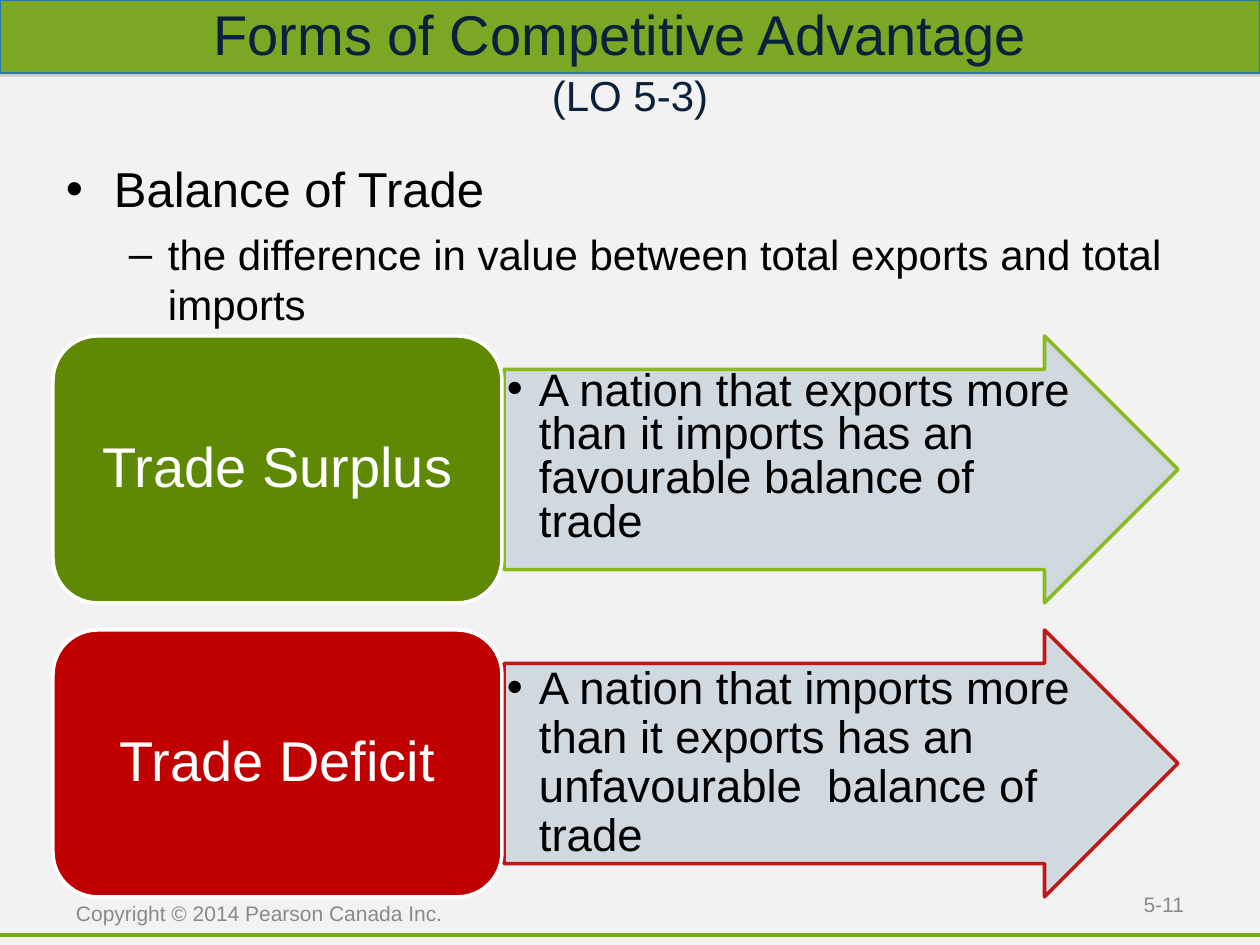
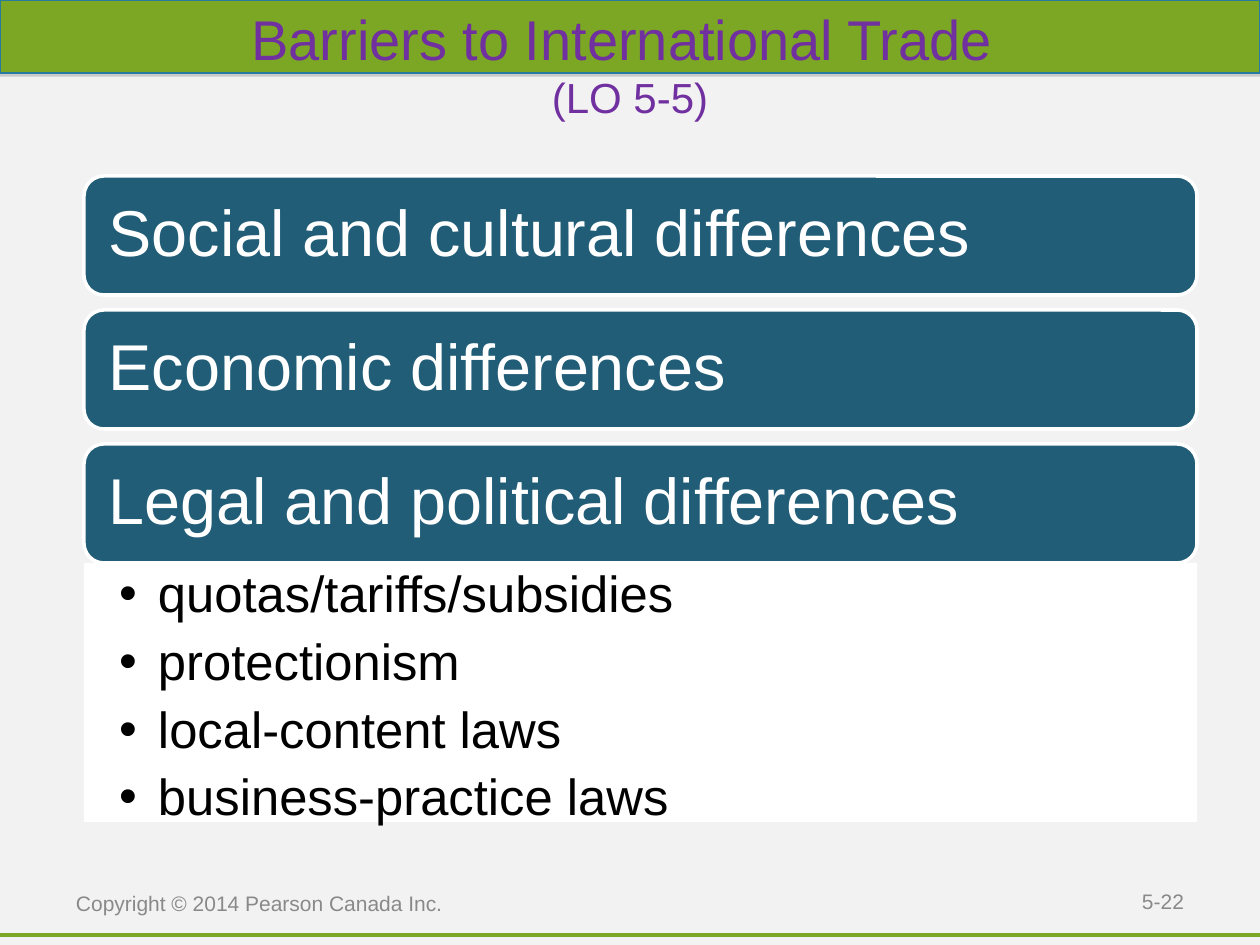
from copy import deepcopy
from dataclasses import dataclass

from lxml import etree
from pptx import Presentation
from pptx import util as u
from pptx.dml.color import RGBColor
from pptx.enum import shapes, text
from pptx.oxml import parse_xml
from pptx.oxml.ns import nsdecls, qn


@dataclass(frozen=True)
class Theme:
    font: str = "Arial"
    paper: str = "F2F2F2"
    white: str = "FFFFFF"
    black: str = "000000"
    band: str = "7CA724"
    band_edge: str = "287A9E"
    navy: str = "09213B"
    purple: str = "7030A0"
    grey: str = "898989"
    arrow: str = "CDD7DF"
    surplus: str = "5F8804"
    surplus_edge: str = "7EB606"
    deficit: str = "C00000"
    bar: str = "215D77"
    title_pt: int = 32
    title_gap_pt: int = 40
    objective_pt: int = 24
    topic_pt: int = 28
    detail_pt: int = 24
    box_pt: int = 32
    arrow_pt: int = 26
    bar_pt: int = 37
    list_pt: int = 29
    footer_pt: int = 12


T = Theme()
LEFT, CENTER, RIGHT = (text.PP_ALIGN.LEFT, text.PP_ALIGN.CENTER, text.PP_ALIGN.RIGHT)
TOP, MIDDLE = text.MSO_ANCHOR.TOP, text.MSO_ANCHOR.MIDDLE
rgb = RGBColor.from_string


def px(*lengths):
    """Turn lengths at 126 px to the inch into EMU."""
    return [u.Emu(round(n * 914400 / 126)) for n in lengths]


def write(sp, paragraphs, color, margins=(13, 6, 13, 6), anchor=MIDDLE, bullet=None, **shared):
    """Fill a shape with paragraphs, each (runs, formats); a run is (text, points)."""
    tf = sp.text_frame
    frame = dict(zip(("margin_left", "margin_top", "margin_right", "margin_bottom"), px(*margins)))
    frame |= {"word_wrap": True, "auto_size": text.MSO_AUTO_SIZE.NONE, "vertical_anchor": anchor}
    for name, value in frame.items():
        setattr(tf, name, value)
    for i, (runs, own) in enumerate(paragraphs):
        p = tf.add_paragraph() if i else tf.paragraphs[0]
        formats = {"alignment": LEFT, "space_before": u.Pt(0), "bullet": bullet} | shared | own
        mark, indent = formats.pop("bullet"), formats.pop("indent", None)
        for name, value in formats.items():
            setattr(p, name, value)
        if mark:
            pPr = p._p.get_or_add_pPr()
            pPr.set("marL", str(px(indent[0])[0]))
            pPr.set("indent", str(px(-indent[1])[0]))
            clr = etree.SubElement(pPr, qn("a:buClr"))
            etree.SubElement(clr, qn("a:srgbClr"), val=T.black)
            etree.SubElement(pPr, qn("a:buFont"), typeface=T.font)
            etree.SubElement(pPr, qn("a:buChar"), char=mark)
        for words, points in runs:
            if words == "\n":
                p._p.add_br().append(deepcopy(r._r.rPr))
                continue
            r = p.add_run()
            r.text = words
            for name, value in {"name": T.font, "size": u.Pt(points)}.items():
                setattr(r.font, name, value)
            r.font.color.rgb = rgb(color)


prs = Presentation()
prs.slide_width, prs.slide_height = px(1260, 945)
layout = prs.slide_layouts[1]
trade, barriers = (prs.slides.add_slide(layout) for _ in range(2))

# Master: background, bottom rule and title band
master = prs.slide_master
master.background.fill.solid()
master.background.fill.fore_color.rgb = rgb(T.paper)
rule = trade.shapes.add_connector(shapes.MSO_CONNECTOR.STRAIGHT, *px(0, 935, 1260, 935))
rule.line.color.rgb = rgb(T.band)
rule.line.width = u.Pt(2)
etree.SubElement(rule._element.spPr, qn("a:effectLst"))
band = trade.shapes.add_shape(shapes.MSO_SHAPE.RECTANGLE, *px(0, 0, 1260, 73))
band.fill.solid()
band.fill.fore_color.rgb = rgb(T.band)
band.line.color.rgb = rgb(T.band_edge)
band.line.width = u.Pt(0.75)
band._element.spPr.append(parse_xml(
    f'<a:effectLst {nsdecls("a")}><a:outerShdw blurRad="0" dist="{u.Pt(1.8)}" dir="5400000">'
    '<a:srgbClr val="808080"><a:alpha val="35000"/></a:srgbClr></a:outerShdw></a:effectLst>'))
for i, sp in enumerate((rule, band)):
    master.shapes.element.insert(2 + i, sp.element)

# Titles and footers
gap = [(" ", T.title_gap_pt)]
pages = [
    (trade, "Forms of Competitive Advantage", gap, "(LO 5-3)", T.navy, 105,
     "5-11", (903, 882, 294, 44), (63, 882, 410, 63)),
    (barriers, "Barriers to International Trade ", [], "(LO 5-5)", T.purple, 126,
     "5-22", (903, 876, 294, 50), (63, 861, 410, 84)),
]
for s, heading, spacer, objective, color, height, number, number_at, copyright_at in pages:
    title = s.shapes.title
    title.left, title.top, title.width, title.height = px(0, 0, 1260, height)
    runs = [(heading, T.title_pt), *spacer, ("\n", 0), (objective, T.objective_pt)]
    write(title, [(runs, {})], color, (32, 32, 32, 32), alignment=CENTER)
    for words, at, align in ((number, number_at, RIGHT),
                             ("Copyright © 2014 Pearson Canada Inc.", copyright_at, LEFT)):
        write(s.shapes.add_textbox(*px(*at)), [([(words, T.footer_pt)], {})], T.grey,
              alignment=align)

# Balance of trade: definition
body = trade.placeholders[1]
body.left, body.top, body.width, body.height = px(53, 153, 1155, 193)
write(body, [
    ([("Balance of Trade", T.topic_pt)], {"bullet": "•", "indent": (48, 48)}),
    ([("the difference in value between total exports and total imports", T.detail_pt)],
     {"level": 1, "bullet": "–", "indent": (102, 39), "space_before": u.Pt(6)}),
], T.black, anchor=TOP)

# Balance of trade: a box and an arrow for each case
cases = [
    ("Trade Surplus", T.surplus, T.surplus_edge, 0.8,
     "A nation that exports more than it imports has an favourable balance of trade"),
    ("Trade Deficit", T.deficit, T.deficit, 0.9,
     "A nation that imports more than it exports has an unfavourable  balance of trade"),
]
blocks = []
for i, (name, color, edge, spacing, meaning) in enumerate(cases):
    y = 336 + 294 * i
    arrow = trade.shapes.add_shape(shapes.MSO_SHAPE.RIGHT_ARROW, *px(504, y, 674, 267))
    arrow.adjustments[0], arrow.adjustments[1] = 0.75, 0.5
    write(arrow, [([(meaning, T.arrow_pt)], {})], T.black, (3, 2, 3, 2), TOP, "•",
          indent=(32, 32), line_spacing=spacing, space_after=u.Pt(4.9))
    box = trade.shapes.add_shape(shapes.MSO_SHAPE.ROUNDED_RECTANGLE, *px(53, y, 449, 267))
    write(box, [([(name, T.box_pt)], {})], T.white, (17, 8, 17, 8),
          alignment=CENTER, line_spacing=0.9, space_after=u.Pt(14))
    blocks += [(arrow, T.arrow, edge, 90), (box, color, T.white, 100)]

# Barriers: three bars
for i, kind in enumerate(("Social and cultural", "Economic", "Legal and political")):
    bar = barriers.shapes.add_shape(shapes.MSO_SHAPE.ROUNDED_RECTANGLE,
                                    *px(84, 176 + 134 * i, 1113, 119))
    write(bar, [([(f"{kind} differences", T.bar_pt)], {})], T.white, (19, 19, 19, 19),
          line_spacing=0.9, space_after=u.Pt(16.1))
    blocks.append((bar, T.bar, T.white, 100))

# Fill and outline of all boxes, arrows and bars
for sp, fill, edge, opacity in blocks:
    sp.shadow.inherit = False
    sp.fill.solid()
    sp.fill.fore_color.rgb = rgb(fill)
    sp.line.color.rgb = rgb(edge)
    sp.line.width = u.Pt(2)
    if opacity < 100:
        for clr in sp._element.spPr.iter(qn("a:srgbClr")):
            etree.SubElement(clr, qn("a:alpha"), val=str(opacity * 1000))

# Barriers: list of legal and political measures
body = barriers.placeholders[1]
body.left, body.top, body.width, body.height = px(84, 563, 1113, 259)
body.fill.solid()
body.fill.fore_color.rgb = rgb(T.white)
measures = ("quotas/tariffs/subsidies", "protectionism", "local-content laws",
            "business-practice laws")
write(body, [([(m, T.list_pt)], {}) for m in measures], T.black, (35, 6, 37, 6), TOP, "•",
      indent=(39, 39), line_spacing=0.9, space_after=u.Pt(7.3))

prs.save("out.pptx")
